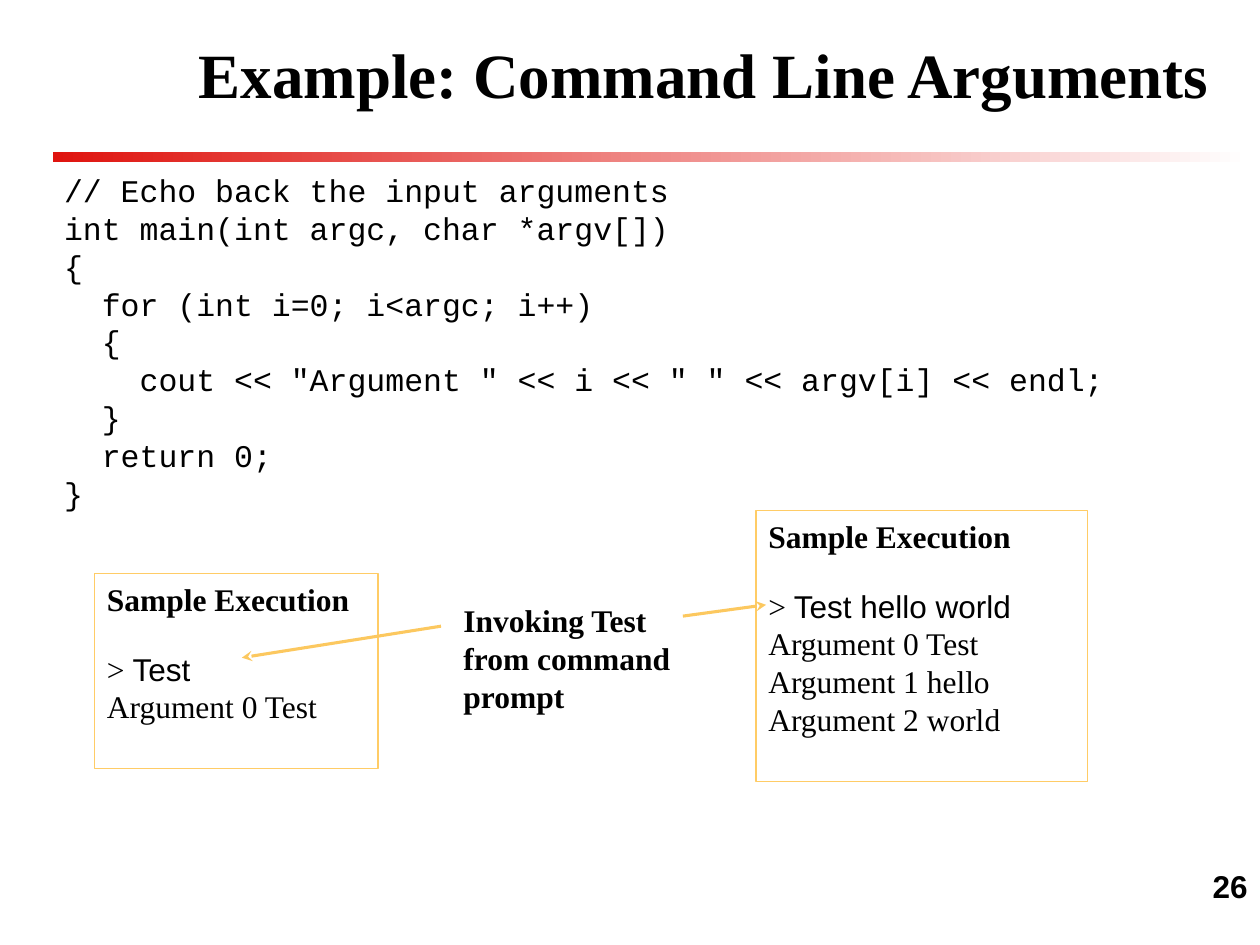
import pptx
import pptx.dml.color
import pptx.enum.shapes
import pptx.enum.text
import pptx.oxml
import pptx.oxml.ns
import pptx.util
from pptx.util import Inches

COLORS = {"text": "000000", "rule": "DF140F", "paper": "FFFFFF",
          "border": "FFCC66", "arrow": "FCC85F"}
SERIF, SANS, MONO = "Times New Roman", "Arial", "Courier New"
ALIGN = pptx.enum.text.PP_ALIGN

CODE = """// Echo back the input arguments
int main(int argc, char *argv[])
{
  for (int i=0; i<argc; i++)
  {
    cout << "Argument " << i << " " << argv[i] << endl;
  }
  return 0;
}"""


def color(name):
    return pptx.dml.color.RGBColor.from_string(COLORS[name])


def set_font(font, name, size=18, bold=False):
    font.name = name
    font.size = pptx.util.Pt(size)
    font.bold = bold
    font.color.rgb = color("text")


def inches(box):
    return [Inches(length) for length in box]


def add_text(slide, box, lines, font, bold=False, align=ALIGN.LEFT):
    frame = slide.shapes.add_textbox(*inches(box)).text_frame
    frame.word_wrap = True
    for index, line in enumerate(lines):
        paragraph = frame.add_paragraph() if index else frame.paragraphs[0]
        paragraph.text = line
        paragraph.alignment = align
        set_font(paragraph.font, font, bold=bold)
    return frame


def add_title(slide, box, text):
    title = slide.shapes.title
    title.left, title.top, title.width, title.height = inches(box)
    frame = title.text_frame
    frame.text = text
    frame.auto_size = pptx.enum.text.MSO_AUTO_SIZE.NONE
    frame.vertical_anchor = pptx.enum.text.MSO_ANCHOR.MIDDLE
    frame.paragraphs[0].alignment = ALIGN.CENTER
    set_font(frame.paragraphs[0].font, SERIF, 36, True)


def add_rule(slide, box):
    rule = slide.shapes.add_shape(
        pptx.enum.shapes.MSO_SHAPE.RECTANGLE, *inches(box))
    rule.shadow.inherit = False
    rule.line.fill.background()
    rule.fill.gradient()
    rule.fill.gradient_angle = 0
    for stop, name in zip(rule.fill.gradient_stops, ("rule", "paper")):
        stop.color.rgb = color(name)


def add_execution(slide, box, command, output):
    """Bordered panel: heading, prompt with command, output lines."""
    panel = slide.shapes.add_shape(
        pptx.enum.shapes.MSO_SHAPE.RECTANGLE, *inches(box))
    panel.shadow.inherit = False
    panel.fill.background()
    panel.line.color.rgb = color("border")
    panel.line.width = pptx.util.Pt(0.75)
    frame = panel.text_frame
    frame.word_wrap = True
    frame.vertical_anchor = pptx.enum.text.MSO_ANCHOR.TOP
    heading = frame.paragraphs[0]
    heading.text = "Sample Execution"
    for line in ["> ", *output]:
        frame.add_paragraph().text = line
    for paragraph in frame.paragraphs:
        paragraph.alignment = ALIGN.LEFT
        set_font(paragraph.font, SERIF)
    heading.font.bold = True
    prompt = frame.paragraphs[1]
    prompt.space_before = pptx.util.Pt(18.5)
    run = prompt.add_run()
    run.text = command
    set_font(run.font, SANS)


def add_arrow(slide, start, end):
    arrow = slide.shapes.add_connector(
        pptx.enum.shapes.MSO_CONNECTOR.STRAIGHT, *inches(start + end))
    arrow.line.color.rgb = color("arrow")
    arrow.line.width = pptx.util.Pt(1.75)
    namespace = pptx.oxml.ns.nsdecls("a")
    arrow.line._get_or_add_ln().append(
        pptx.oxml.parse_xml(f'<a:tailEnd {namespace} type="stealth"/>'))
    arrow._element.spPr.append(
        pptx.oxml.parse_xml(f"<a:effectLst {namespace}/>"))


def main():
    presentation = pptx.Presentation()
    presentation.slide_width = Inches(10)
    presentation.slide_height = Inches(7.5)
    slide = presentation.slides.add_slide(presentation.slide_layouts[5])

    # Heading
    add_rule(slide, (0.42, 1.21, 9.5, 0.08))
    add_title(slide, (1.17, 0, 8.83, 1.17), "Example: Command Line Arguments")

    # Program
    add_text(slide, (0.41, 1.31, 8.49, 3.1), CODE.splitlines(), MONO)

    # Sample runs and the note pointing at them
    add_execution(slide, (0.75, 4.55, 2.25, 1.55), "Test", ["Argument 0 Test"])
    add_execution(slide, (6, 4.05, 2.63, 2.15), "Test hello world",
                  [f"Argument {index} {word}" for index, word
                   in enumerate(("Test", "hello", "world"))])
    add_text(slide, (3.58, 4.72, 1.92, 1.01),
             ["Invoking Test", "from command", "prompt"], SERIF, bold=True)
    add_arrow(slide, (3.5, 4.97), (1.92, 5.22))
    add_arrow(slide, (5.42, 4.89), (6.08, 4.8))

    # Page number
    add_text(slide, (7.92, 6.83, 2.08, 0.25), ["26"], SANS, bold=True,
             align=ALIGN.RIGHT)

    presentation.save("out.pptx")


if __name__ == "__main__":
    main()
